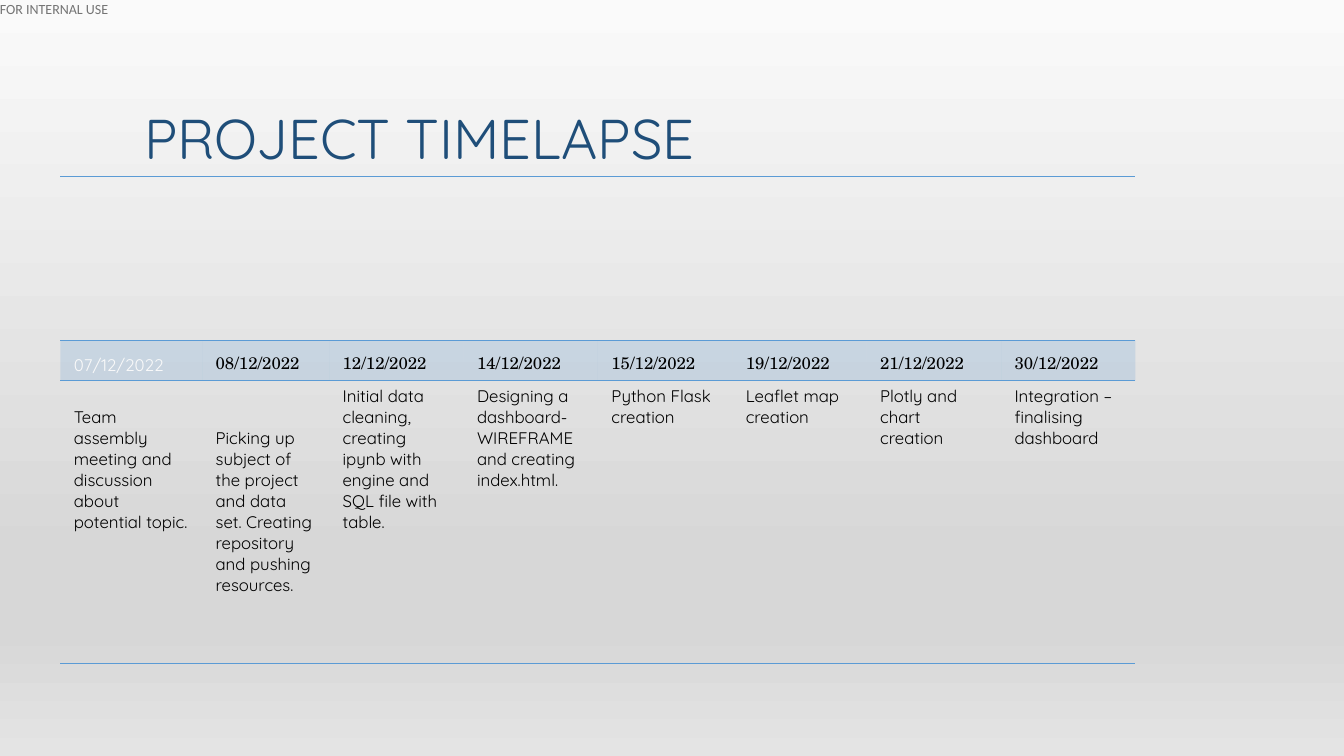
from lxml.etree import SubElement as Sub
from pptx import Presentation
from pptx.dml.color import RGBColor
from pptx.enum.shapes import MSO_SHAPE as Shape
from pptx.enum.text import MSO_ANCHOR as Anchor
from pptx.oxml.ns import qn
from pptx.util import Inches, Pt

WIDE, HIGH = Inches(13.333), Inches(7.5)
COLS, ROWS = 20, 30
BLUE = "5B9BD5"
SANS, SERIF = "Quicksand", "TeX Gyre Schola"
PLAIN = "{2D5ABB26-0587-4C30-8999-92F81FD0307C}"
SHADES = [(0, "FAFAFA"), (74, "D7D7D7"), (83, "D7D7D7"), (100, "E4E4E4")]
SPANS = [2.11, 1.89] + [2] * 6
TALLS = [6.5, 1.6, 11.24]
LINE = 0.84
STEPS = [
    ("07/12/2022", "Team assembly meeting and discussion about potential topic.", 1),
    ("08/12/2022", "Picking up subject of the project and data set. "
     "Creating repository and pushing resources.", 2),
    ("12/12/2022", "Initial data cleaning, creating ipynb with engine "
     "and SQL file with table.", 0),
    ("14/12/2022", "Designing a dashboard- WIREFRAME and creating index.html.", 0),
    ("15/12/2022", "Python Flask creation", 0),
    ("19/12/2022", "Leaflet map creation", 0),
    ("21/12/2022", "Plotly and chart creation", 0),
    ("30/12/2022", "Integration – finalising dashboard", 0),
]


def across(cols):
    """Turn grid columns into a length."""
    return round(WIDE * cols / COLS)


def down(rows):
    """Turn grid rows into a length."""
    return round(HIGH * rows / ROWS)


def tint(code):
    """Make a colour from a hex string."""
    return RGBColor.from_string(code)


def style(frame, text, face, size, code):
    """Write one paragraph and format its run."""
    para = frame.paragraphs[0]
    para.text = text
    font = para.runs[0].font
    font.name, font.size = face, Pt(size)
    font.color.rgb = tint(code)
    return para


def backdrop(slide):
    """Cover the slide with a vertical gradient."""
    box = slide.shapes.add_shape(Shape.RECTANGLE, 0, 0, WIDE, HIGH)
    box.shadow.inherit = False
    box.line.fill.background()
    box.fill.gradient()
    box.fill.gradient_angle = 270
    stops = box.element.find(".//" + qn("a:gsLst"))
    for old in list(stops):
        stops.remove(old)
    for share, code in SHADES:
        stop = Sub(stops, qn("a:gs"), pos=str(share * 1000))
        Sub(stop, qn("a:srgbClr"), val=code)


def label(slide, spot, text, face, size, code):
    """Add a text box at a grid spot."""
    left, top, wide, high = spot
    box = slide.shapes.add_textbox(across(left), down(top), across(wide), down(high))
    return box.text_frame, style(box.text_frame, text, face, size, code)


def border(cell, *sides):
    """Draw blue rules on some sides of a cell."""
    props = cell._tc.get_or_add_tcPr()
    for side in sides:
        line = Sub(props, qn("a:ln" + side), w=str(Pt(1)))
        Sub(Sub(line, qn("a:solidFill")), qn("a:srgbClr"), val=BLUE)


def write(cell, text, face, code, anchor, skip=0):
    """Fill a table cell with text, set down by some lines."""
    style(cell.text_frame, text, face, 12, code)
    cell.vertical_anchor = anchor
    cell.margin_left = cell.margin_right = across(0.2)
    cell.margin_top = down(0.2 + skip * LINE)
    cell.margin_bottom = down(0.2)


def shade(cell):
    """Give a cell a pale blue fill."""
    cell.fill.solid()
    cell.fill.fore_color.rgb = tint(BLUE)
    color = cell._tc.tcPr.find(qn("a:solidFill")).find(qn("a:srgbClr"))
    Sub(color, qn("a:alpha"), val="20000")


def timeline(slide):
    """Add the table of dates and steps."""
    frame = slide.shapes.add_table(len(TALLS), len(STEPS), across(0.9), down(7),
                                   across(sum(SPANS)), down(sum(TALLS)))
    table = frame.table
    table.first_row = table.horz_banding = False
    frame.element.find(".//" + qn("a:tableStyleId")).text = PLAIN
    for row, tall in zip(table.rows, TALLS):
        row.height = down(tall)
    for col, (span, (date, step, skip)) in enumerate(zip(SPANS, STEPS)):
        table.columns[col].width = across(span)
        blank, head, body = (table.cell(row, col) for row in range(len(TALLS)))
        border(blank, "T", "B")
        border(head, "T")
        border(body, "B")
        blank.fill.background()
        shade(head)
        body.fill.background()
        face, code = (SERIF, "000000") if col else (SANS, "FAFAFA")
        write(head, date, face, code, Anchor.BOTTOM)
        write(body, step, SANS, "000000", Anchor.TOP, skip)


def main():
    """Build and save the slide."""
    deck = Presentation()
    deck.slide_width, deck.slide_height = WIDE, HIGH
    slide = deck.slides.add_slide(deck.slide_layouts[6])
    backdrop(slide)
    note, _ = label(slide, (0, 0, 1.67, 0.67), "FOR INTERNAL USE", "Calibri", 10, "747474")
    note.margin_left = note.margin_right = note.margin_top = note.margin_bottom = 0
    title, para = label(slide, (2, 1.2, 16, 5.8), "PROJECT TIMELAPSE", SANS, 40, "1F4E79")
    title.word_wrap = True
    title.vertical_anchor = Anchor.BOTTOM
    para.line_spacing = 0.9
    timeline(slide)
    deck.save("out.pptx")


if __name__ == "__main__":
    main()
